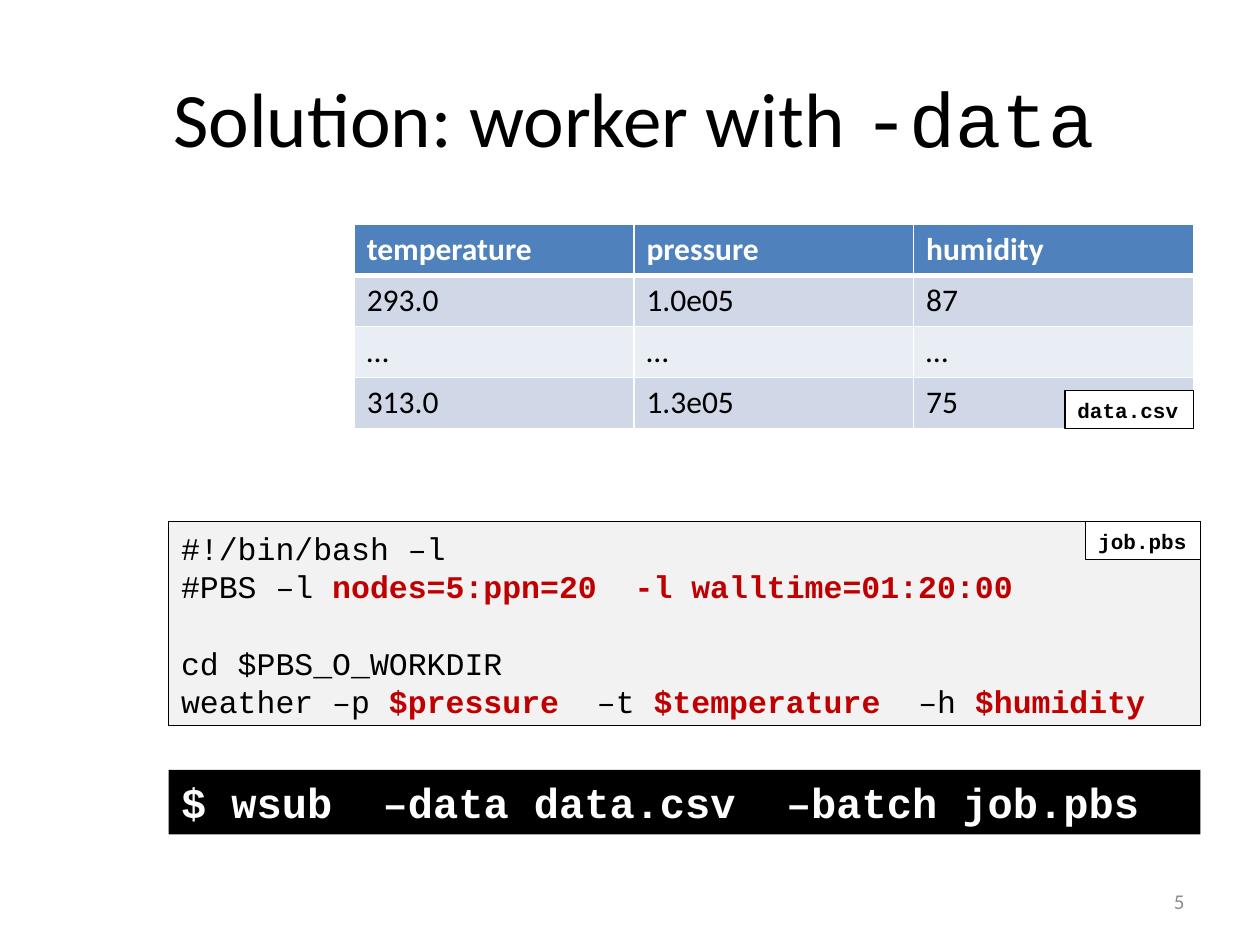
from lxml.etree import SubElement as Sub
from pptx import Presentation
from pptx.dml.color import RGBColor as Rgb
from pptx.enum.shapes import MSO_SHAPE as Kind
from pptx.enum.text import MSO_ANCHOR as Anchor, PP_ALIGN as Align
from pptx.oxml.ns import qn
from pptx.util import Cm, Pt

COLORS = {
    "black": "000000", "white": "FFFFFF", "red": "C00000", "gray": "8C8C8C",
    "code": "F2F2F2", "head": "4F81BD", "odd": "D0D8E8", "even": "E9EDF4",
}
SANS, MONO = "Calibri", "Courier New"

TITLE = [("Solution: worker with ", SANS), ("-data", MONO)]
DATA = [
    ("temperature", "pressure", "humidity"),
    ("293.0", "1.0e05", "87"),
    ("…", "…", "…"),
    ("313.0", "1.3e05", "75"),
]
# Each line alternates plain and marked text; a gap is counted in blank lines.
CODE = [
    (0, ["#!/bin/bash –l"]),
    (0, ["#PBS –l ", "nodes=5:ppn=20  -l walltime=01:20:00"]),
    (1, ["cd $PBS_O_WORKDIR"]),
    (0, ["weather –p ", "$pressure", "  –t ", "$temperature",
         "  –h ", "$humidity"]),
]
COMMAND = "$ wsub  –data data.csv  –batch job.pbs"
NUMBER = "5"

LEFT, RIGHT, CODE_TOP = 3.4, 24.2, 10.52
GRID = {"left": 7.14, "top": 4.52, "col": 5.64, "row": 1.03}
TAG_H = 0.76
LEADING = 1.22


def color(name):
    return Rgb.from_string(COLORS[name])


def style(font, **form):
    font.color.rgb = color(form.pop("ink", "black"))
    for key, val in form.items():
        setattr(font, key, val)


def write(para, text, **form):
    run = para.add_run()
    run.text = text
    style(run.font, **form)


def place(shape, left, top, width, height):
    box = {"left": left, "top": top, "width": width, "height": height}
    for key, val in box.items():
        setattr(shape, key, Cm(val))


def add_box(shapes, area, fill, line=None):
    box = shapes.add_shape(Kind.RECTANGLE, *map(Cm, area))
    box.shadow.inherit = False
    box.fill.solid()
    box.fill.fore_color.rgb = color(fill)
    if line:
        box.line.color.rgb = color(line)
        box.line.width = Pt(0.75)
    else:
        box.line.fill.background()
    box.text_frame.vertical_anchor = Anchor.TOP
    return box.text_frame


def set_line(para, size, gap=0):
    para.alignment = Align.LEFT
    para.line_spacing = Pt(size * LEADING)
    if gap:
        para.space_before = Pt(gap * size * LEADING)


def add_line(shapes, area, text, size, fill, ink, line=None):
    frame = add_box(shapes, area, fill, line)
    frame.word_wrap = False
    para = frame.paragraphs[0]
    set_line(para, size)
    write(para, text, name=MONO, size=Pt(size), bold=True, ink=ink)


def add_tag(shapes, text, right, top, width):
    area = (right - width, top, width, TAG_H)
    add_line(shapes, area, text, 12, "white", "black", "black")


def add_code(shapes):
    area = (LEFT, CODE_TOP, RIGHT - LEFT, 4.11)
    frame = add_box(shapes, area, "code", "black")
    frame.word_wrap = False
    for i, (gap, parts) in enumerate(CODE):
        para = frame.add_paragraph() if i else frame.paragraphs[0]
        set_line(para, 18, gap)
        for j, part in enumerate(parts):
            mark = j % 2 == 1
            write(para, part, name=MONO, size=Pt(18), bold=mark,
                  ink="red" if mark else "black")


def set_fill(cell, name, low):
    """Fill a cell and give it white borders, the bottom one low points wide."""
    props = cell._tc.get_or_add_tcPr()
    for side, width in (("L", 1), ("R", 1), ("T", 1), ("B", low)):
        edge = Sub(props, qn("a:ln" + side), w=str(Pt(width)))
        solid = Sub(edge, qn("a:solidFill"))
        Sub(solid, qn("a:srgbClr"), val=COLORS["white"])
    cell.fill.solid()
    cell.fill.fore_color.rgb = color(name)


def add_grid(shapes):
    rows, cols = len(DATA), len(DATA[0])
    area = (GRID["left"], GRID["top"], cols * GRID["col"], rows * GRID["row"])
    table = shapes.add_table(rows, cols, *map(Cm, area)).table
    for r, row in enumerate(DATA):
        head = r == 0
        fill = "head" if head else ("even", "odd")[r % 2]
        for c, text in enumerate(row):
            cell = table.cell(r, c)
            set_fill(cell, fill, 3 if head else 1)
            write(cell.text_frame.paragraphs[0], text, name=SANS, size=Pt(18),
                  bold=head, ink="white" if head else "black")
    return area[0] + area[2], area[1] + area[3]


def main():
    deck = Presentation()
    deck.slide_width, deck.slide_height = Cm(25.4), Cm(19.05)
    slide = deck.slides.add_slide(deck.slide_layouts[5])
    shapes = slide.shapes

    title = shapes.title
    place(title, 1.35, 0.76, 22.86, 3.18)
    title.text_frame.vertical_anchor = Anchor.MIDDLE
    para = title.text_frame.paragraphs[0]
    para.alignment = Align.CENTER
    for text, name in TITLE:
        write(para, text, name=name, size=Pt(44))

    area = (LEFT, 15.52, RIGHT - LEFT, 1.3)
    add_line(shapes, area, COMMAND, 24, "black", "white")
    add_code(shapes)
    add_tag(shapes, "job.pbs", RIGHT, CODE_TOP, 2.31)

    frame = shapes.add_textbox(*map(Cm, (18.21, 17.65, 5.92, 1.02))).text_frame
    frame.word_wrap = True
    frame.vertical_anchor = Anchor.MIDDLE
    frame.paragraphs[0].alignment = Align.RIGHT
    write(frame.paragraphs[0], NUMBER, name=SANS, size=Pt(12), ink="gray")

    right, bottom = add_grid(shapes)
    add_tag(shapes, "data.csv", right, bottom - TAG_H, 2.59)
    deck.save("out.pptx")


if __name__ == "__main__":
    main()
